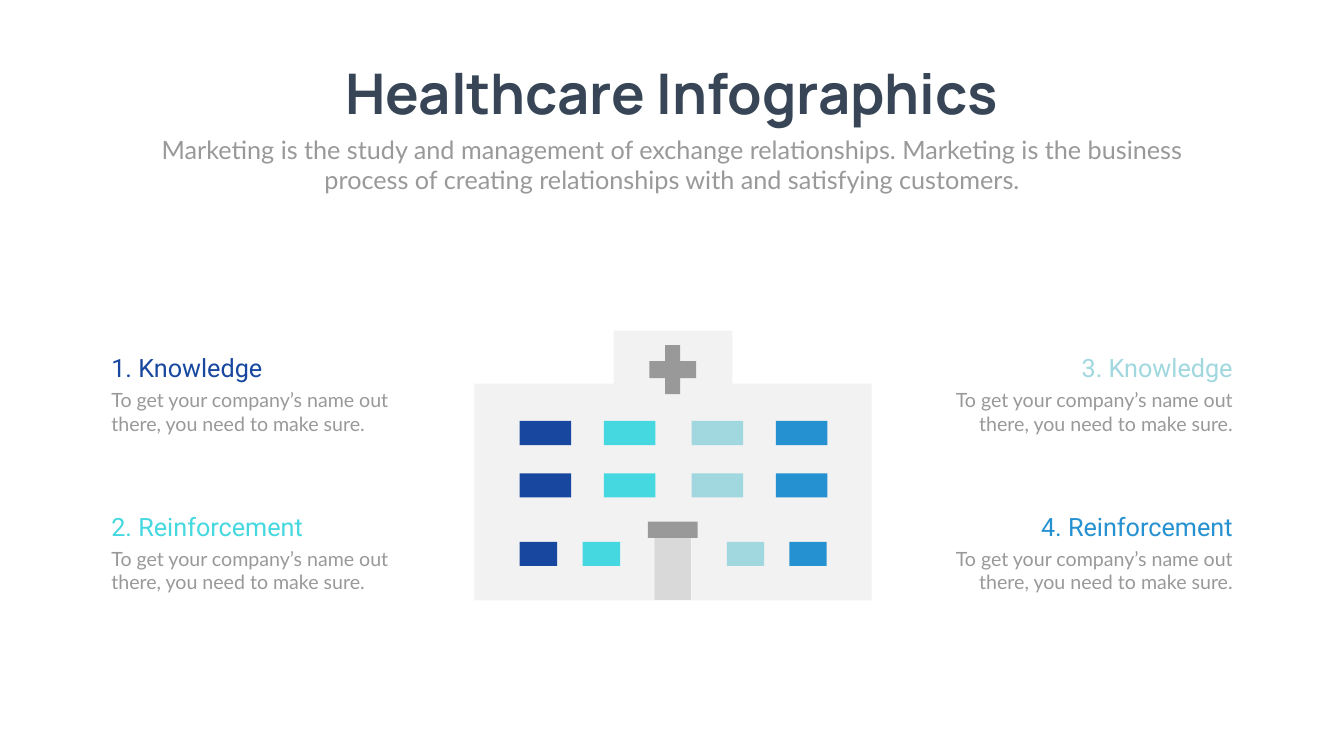
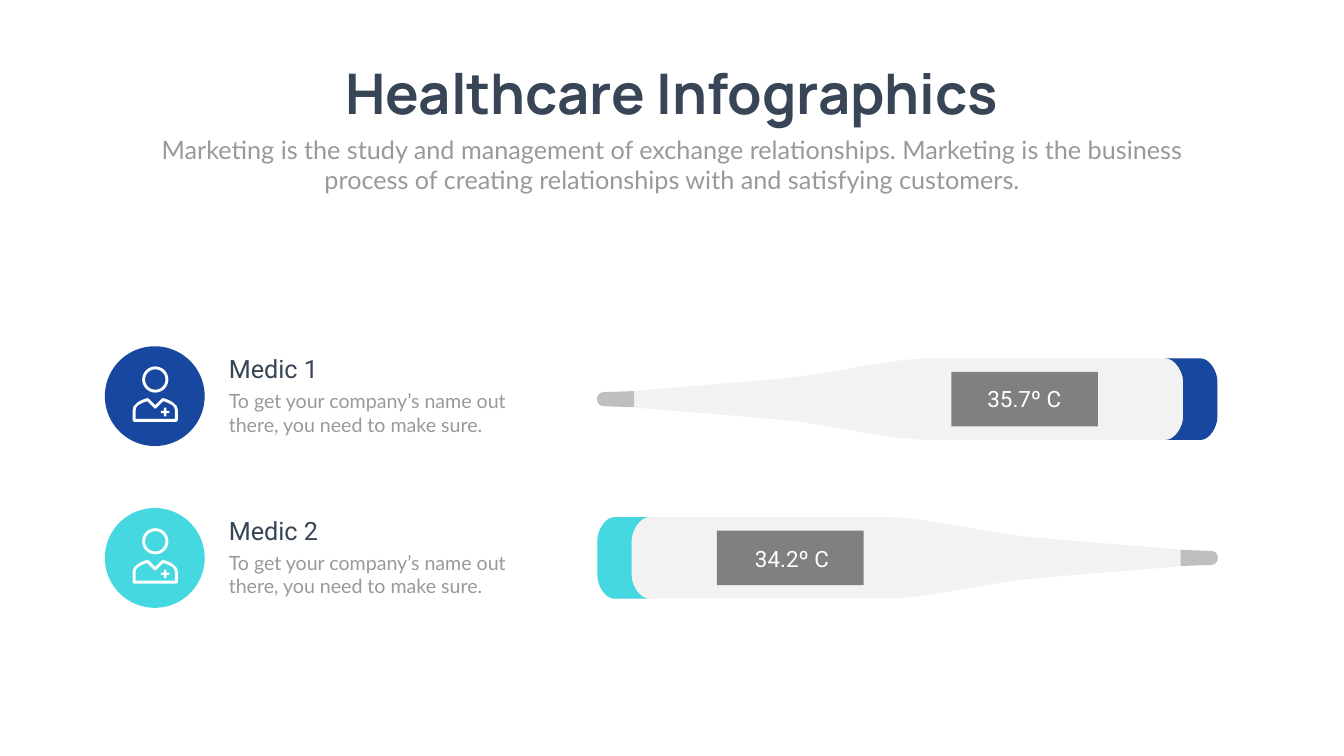
"""Build two healthcare infographic slides: a hospital and a pair of thermometers."""
from dataclasses import dataclass

from pptx import Presentation
from pptx.dml.color import RGBColor
from pptx.enum.shapes import MSO_SHAPE
from pptx.enum.text import MSO_AUTO_SIZE, PP_ALIGN
from pptx.oxml.ns import qn
from pptx.shapes.autoshape import Shape
from pptx.shapes.shapetree import GroupShapes, SlideShapes
from pptx.slide import Slide
from pptx.util import Inches, Pt

Shapes = SlideShapes | GroupShapes
Point = tuple[float, float]

COLORS = {
    "background": "FEFFFE", "title": "374556", "text": "999999", "white": "FFFFFF",
    "navy": "18479F", "turquoise": "45D8E0", "pale": "A1D7DF", "blue": "2591D0",
    "wall": "F2F2F2", "door": "D9D9D9", "tip": "BFBFBF", "display": "808080",
}
FORMATS = {
    "title": {"name": "Manrope", "size": Pt(80), "bold": True},
    "subtitle": {"name": "Lato", "size": Pt(36)},
    "heading": {"name": "Roboto", "size": Pt(36)},
    "body": {"name": "Lato", "size": Pt(28)},
    "reading": {"name": "Roboto", "size": Pt(32)},
}
TITLE = "Healthcare Infographics"
SUBTITLE = (
    "Marketing is the study and management of exchange relationships. "
    "Marketing is the business process of creating relationships with and satisfying customers."
)
BODY = "To get your company’s name out there, you need to make sure."
HEADING_HEIGHT = 0.71

HOSPITAL_CENTER = 13.35
HOSPITAL_HALF = [(0.37, 10.41), (0.37, 11.91), (3.94, 11.91), (3.94, 7.61), (1.18, 7.61), (1.18, 6.56)]
WINDOW_COLORS = ("navy", "turquoise", "pale", "blue")
WINDOW_HEIGHT = 0.48

THERMOMETER_LEFT, THERMOMETER_LENGTH = 11.84, 12.32
CAP_CORNER = (12.16, -0.81, 12.31, -0.54, 12.31, -0.35)
BODY_HALF = [
    (0.74, -0.16), (0.77, -0.18, 2.15, -0.27, 3.65, -0.41),
    (4.66, -0.5, 5.77, -0.81, 6.65, -0.81), (11.97, -0.81), CAP_CORNER,
]
CAP_HALF = [(11.63, -0.35), (11.63, -0.54, 11.47, -0.81, 11.28, -0.81), (11.97, -0.81), CAP_CORNER]
TIP_HALF = [(0.74, -0.16), (0.14, -0.14), (0.06, -0.14, 0, -0.08, 0, 0)]
DISPLAY_START, DISPLAY_WIDTH, DISPLAY_HEIGHT = 7.03, 2.91, 1.08

MEDIC_LEFT, MEDIC_SIZE = 2.08, 1.98
COAT_OUTER_HALF = [
    (0, 1.17), (0.13, 1.04), (0.14, 1.03, 0.15, 1.03, 0.16, 1.03),
    (0.23, 1.05, 0.31, 1.08, 0.37, 1.13), (0.42, 1.16, 0.45, 1.21, 0.45, 1.27),
    (0.45, 1.47), (0.45, 1.49, 0.44, 1.5, 0.42, 1.5),
]
COAT_INNER_HALF = [
    (0, 1.24), (0.02, 1.23), (0.16, 1.09), (0.22, 1.11, 0.28, 1.13, 0.34, 1.17),
    (0.37, 1.19, 0.39, 1.23, 0.39, 1.27), (0.39, 1.44),
]


@dataclass(frozen=True)
class Contour:
    points: list[Point]
    segment_sizes: list[int]

    def moved(self, left: float, top: float, direction: int = 1) -> "Contour":
        return Contour([(left + direction * x, top + y) for x, y in self.points], self.segment_sizes)


@dataclass(frozen=True)
class Caption:
    heading: str
    color: str
    left: float
    top: float
    heading_width: float
    width: float = 5.85
    align: PP_ALIGN = PP_ALIGN.LEFT


@dataclass(frozen=True)
class WindowRow:
    top: float
    width: float
    lefts: tuple[float, ...]


@dataclass(frozen=True)
class Thermometer:
    middle: float
    color: str
    reading: str
    reading_left: float
    reading_top: float
    flipped: bool


@dataclass(frozen=True)
class Medic:
    name: str
    color: str
    top: float


CAPTIONS = (
    Caption("1. Knowledge", "navy", 2.11, 6.94, 3.26),
    Caption("2. Reinforcement", "turquoise", 2.11, 10.09, 4.81),
    Caption("3. Knowledge", "pale", 18.7, 6.94, 3.26, align=PP_ALIGN.RIGHT),
    Caption("4. Reinforcement", "blue", 18.7, 10.09, 4.93, align=PP_ALIGN.RIGHT),
)
WINDOW_ROWS = (
    WindowRow(8.35, 1.02, (10.31, 11.98, 13.72, 15.39)),
    WindowRow(9.39, 1.02, (10.31, 11.98, 13.72, 15.39)),
    WindowRow(10.75, 0.74, (10.31, 11.56, 14.42, 15.66)),
)
THERMOMETERS = (
    Thermometer(7.92, "navy", "35.7º C", 19.25, 7.6, False),
    Thermometer(11.07, "turquoise", "34.2º C", 14.64, 10.77, True),
)
MEDICS = (Medic("Medic 1", "navy", 6.87), Medic("Medic 2", "turquoise", 10.08))


def rgb(color: str) -> RGBColor:
    return RGBColor.from_string(COLORS[color])


def paint(shape: Shape, color: str) -> Shape:
    shape.shadow.inherit = False
    shape.fill.solid()
    shape.fill.fore_color.rgb = rgb(color)
    shape.line.fill.background()
    return shape


def add_preset(shapes: Shapes, kind: MSO_SHAPE, left: float, top: float,
               width: float, height: float, color: str) -> Shape:
    return paint(shapes.add_shape(kind, Inches(left), Inches(top), Inches(width), Inches(height)), color)


def mirror(half: list[tuple[float, ...]], x_sign: int, y_sign: int) -> Contour:
    points = [segment[i:i + 2] for segment in half for i in range(0, len(segment), 2)]
    sizes = [len(segment) // 2 for segment in half[1:]]
    reflected = [(x_sign * x, y_sign * y) for x, y in reversed(points)]
    return Contour(points + reflected, sizes + [1] + sizes[::-1])


def bend_curves(shape: Shape, segment_sizes: list[int]) -> None:
    lines = iter(list(shape.element.iter(qn("a:lnTo"))))
    for size in segment_sizes:
        first, *others = [next(lines) for _ in range(size)]
        if others:
            first.tag = qn("a:cubicBezTo")
        for line in others:
            first.append(line[0])
            line.getparent().remove(line)


def add_outline(shapes: Shapes, contours: list[Contour], color: str) -> None:
    scaled = [[(Inches(x), Inches(y)) for x, y in contour.points] for contour in contours]
    builder = shapes.build_freeform(*scaled[0][0], scale=1.0)
    for index, points in enumerate(scaled):
        if index:
            builder.move_to(*points[0])
        builder.add_line_segments(points[1:], close=True)
    shape = paint(builder.convert_to_shape(), color)
    bend_curves(shape, [size for contour in contours for size in contour.segment_sizes])


def add_text(shapes: Shapes, text: str, style: str, color: str, left: float, top: float, width: float,
             height: float, align: PP_ALIGN = PP_ALIGN.LEFT, wrap: bool = True) -> None:
    frame = shapes.add_textbox(Inches(left), Inches(top), Inches(width), Inches(height)).text_frame
    frame.word_wrap = wrap
    frame.auto_size = MSO_AUTO_SIZE.SHAPE_TO_FIT_TEXT
    paragraph = frame.paragraphs[0]
    paragraph.alignment = align
    run = paragraph.add_run()
    run.text = text
    for attribute, value in FORMATS[style].items():
        setattr(run.font, attribute, value)
    run.font.color.rgb = rgb(color)


def add_titled_slide(presentation: Presentation) -> Slide:
    slide = presentation.slides.add_slide(presentation.slide_layouts[6])
    slide.background.fill.solid()
    slide.background.fill.fore_color.rgb = rgb("background")
    add_text(slide.shapes, TITLE, "title", "title", 6.2, 1.12, 14.26, 1.45, PP_ALIGN.CENTER, wrap=False)
    add_text(slide.shapes, SUBTITLE, "subtitle", "text", 2.92, 2.61, 20.82, 1.31, PP_ALIGN.CENTER)
    return slide


def add_caption(shapes: Shapes, caption: Caption) -> None:
    heading_left = caption.left
    if caption.align == PP_ALIGN.RIGHT:
        heading_left += caption.width - caption.heading_width
    add_text(shapes, BODY, "body", "text", caption.left, caption.top + HEADING_HEIGHT,
             caption.width, 1.04, caption.align)
    add_text(shapes, caption.heading, "heading", caption.color, heading_left, caption.top,
             caption.heading_width, HEADING_HEIGHT, caption.align)


def add_hospital(shapes: Shapes) -> None:
    add_outline(shapes, [mirror(HOSPITAL_HALF, -1, 1).moved(HOSPITAL_CENTER, 0)], "wall")
    add_preset(shapes, MSO_SHAPE.RECTANGLE, 12.98, 10.41, 0.73, 1.5, "door")
    cross = add_preset(shapes, MSO_SHAPE.CROSS, 12.88, 6.85, 0.93, 0.97, "text")
    cross.adjustments[0] = 0.34
    for row in WINDOW_ROWS:
        for left, color in zip(row.lefts, WINDOW_COLORS):
            add_preset(shapes, MSO_SHAPE.RECTANGLE, left, row.top, row.width, WINDOW_HEIGHT, color)
    add_preset(shapes, MSO_SHAPE.RECTANGLE, 12.85, 10.35, 0.99, 0.32, "text")


def add_thermometer(shapes: Shapes, thermometer: Thermometer) -> None:
    direction = -1 if thermometer.flipped else 1
    origin = THERMOMETER_LEFT + (THERMOMETER_LENGTH if thermometer.flipped else 0)
    for half, color in ((BODY_HALF, "wall"), (CAP_HALF, thermometer.color), (TIP_HALF, "tip")):
        add_outline(shapes, [mirror(half, 1, -1).moved(origin, thermometer.middle, direction)], color)
    display_left = origin + direction * DISPLAY_START - (DISPLAY_WIDTH if thermometer.flipped else 0)
    add_preset(shapes, MSO_SHAPE.RECTANGLE, display_left, thermometer.middle - DISPLAY_HEIGHT / 2,
               DISPLAY_WIDTH, DISPLAY_HEIGHT, "display")


def add_medic(shapes: Shapes, medic: Medic) -> None:
    add_preset(shapes, MSO_SHAPE.OVAL, MEDIC_LEFT, medic.top, MEDIC_SIZE, MEDIC_SIZE, medic.color)
    add_caption(shapes, Caption(medic.name, "title", 4.44, medic.top + 0.09, 3.26, 6.26))


def add_medic_icon(shapes: Shapes, medic: Medic) -> None:
    center = MEDIC_LEFT + 1
    head = add_preset(shapes, MSO_SHAPE.DONUT, center - 0.26, medic.top + 0.4, 0.52, 0.52, "white")
    head.adjustments[0] = 0.11
    coat = [mirror(half, -1, 1).moved(center, medic.top) for half in (COAT_OUTER_HALF, COAT_INNER_HALF)]
    add_outline(shapes, coat, "white")
    badge = add_preset(shapes, MSO_SHAPE.CROSS, center + 0.11, medic.top + 1.22, 0.17, 0.17, "white")
    badge.adjustments[0] = 0.36


def build_hospital_slide(presentation: Presentation) -> None:
    shapes = add_titled_slide(presentation).shapes
    add_hospital(shapes)
    for caption in CAPTIONS:
        add_caption(shapes, caption)


def build_thermometer_slide(presentation: Presentation) -> None:
    shapes = add_titled_slide(presentation).shapes
    thermometer_group = shapes.add_group_shape().shapes
    for thermometer in THERMOMETERS:
        add_thermometer(thermometer_group, thermometer)
    for thermometer in THERMOMETERS:
        add_text(shapes, thermometer.reading, "reading", "white", thermometer.reading_left,
                 thermometer.reading_top, 2.14, 0.64, PP_ALIGN.CENTER)
    for add_part in (add_medic, add_medic_icon):
        for medic in MEDICS:
            add_part(shapes.add_group_shape().shapes, medic)


def main() -> None:
    presentation = Presentation()
    presentation.slide_width = Inches(26.66)
    presentation.slide_height = Inches(15)
    build_hospital_slide(presentation)
    build_thermometer_slide(presentation)
    presentation.save("out.pptx")


if __name__ == "__main__":
    main()
